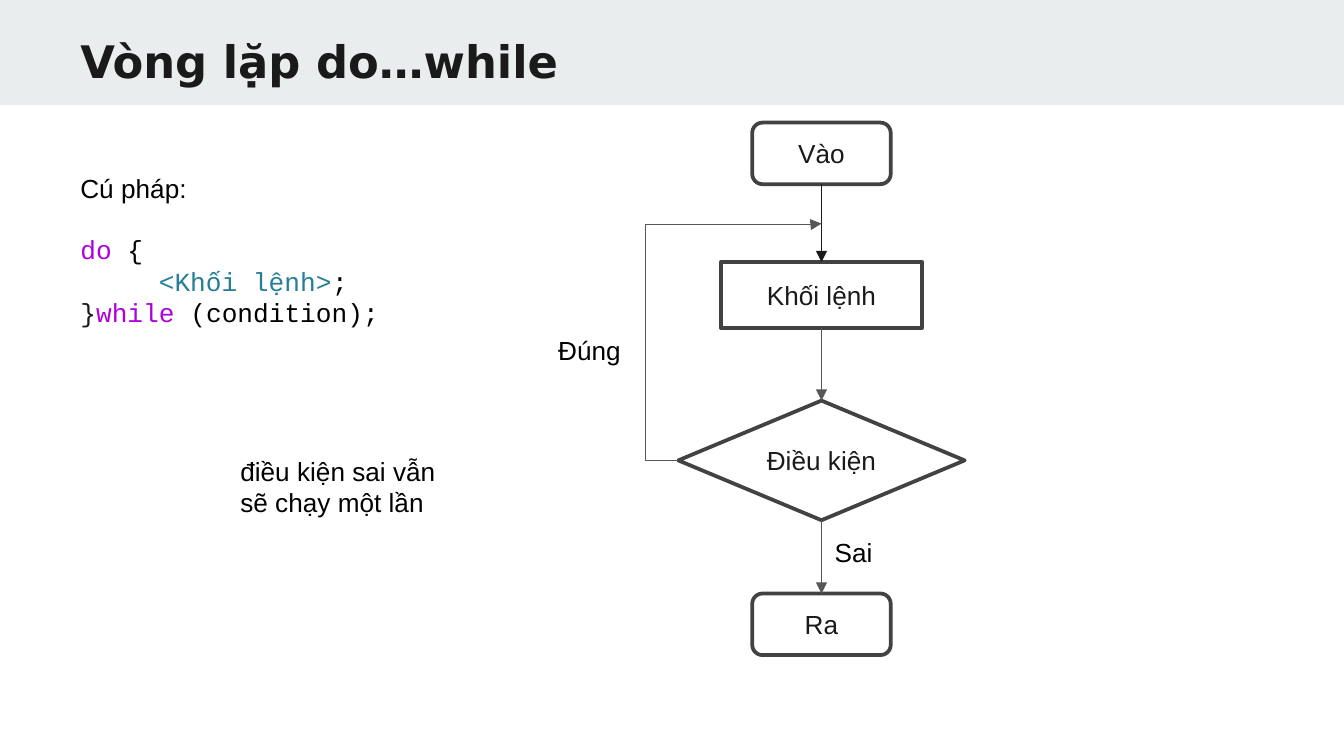
from pptx import Presentation
from pptx.dml.color import RGBColor
from pptx.enum.shapes import MSO_CONNECTOR, MSO_SHAPE
from pptx.enum.text import MSO_ANCHOR, PP_ALIGN
from pptx.oxml.ns import qn
from pptx.util import Pt
from lxml.etree import SubElement

INK, BLACK, GREY, EDGE = "1A1A1A", "000000", "575757", "424242"
VIOLET, TEAL = "AF00DB", "267F99"
BODY = {"name": "Arial", "size": Pt(14)}
CODE = {"name": "Courier New", "size": Pt(14)}
HEAD = {"name": "DejaVu Sans", "size": Pt(24), "bold": True}

# Text boxes: left, top, width, height, font, lines of (text, colour) runs
TEXTS = [
    (36, 10.8, 621.4, 45, HEAD, [[("Vòng lặp do…while", INK)]]),
    (36, 88.6, 148.3, 24.5, BODY, [[("Cú pháp:", BLACK)]]),
    (36, 121.7, 360, 75, CODE, [
        [("do", VIOLET), (" {", BLACK)],
        [("     <Khối lệnh>", TEAL), (";", BLACK)],
        [("}", INK), ("while", VIOLET), (" (condition);", BLACK)],
    ]),
    (121.7, 240.5, 136.8, 41, BODY,
     [[("điều kiện sai vẫn sẽ chạy một lần", BLACK)]]),
    (292, 175.7, 54.7, 24.5, BODY, [[("Đúng", BLACK)]]),
    (440.1, 283.7, 54.7, 24.5, BODY, [[("Sai", BLACK)]]),
]

# Flowchart steps on one centre line: text, outline, top, width, height
MID = 440.1
STEPS = [
    ("Vào", MSO_SHAPE.ROUNDED_RECTANGLE, 65.7, 74.2, 33),
    ("Khối lệnh", MSO_SHAPE.RECTANGLE, 140.4, 108, 35.2),
    ("Điều kiện", MSO_SHAPE.DIAMOND, 214.6, 153.4, 64.1),
    ("Ra", MSO_SHAPE.ROUNDED_RECTANGLE, 318, 74.2, 33),
]
ARROWS = [INK, GREY, GREY]
LOOP_X, LOOP_Y = 345.8, 119.8


def paint(hue):
    return RGBColor.from_string(hue)


def write(frame, font, lines):
    frame.word_wrap = True
    for i, runs in enumerate(lines):
        para = frame.paragraphs[0] if i == 0 else frame.add_paragraph()
        for text, hue in runs:
            run = para.add_run()
            run.text = text
            run.font.color.rgb = paint(hue)
            for key, value in font.items():
                setattr(run.font, key, value)


def arrow(kind, start, end, hue):
    link = slide.shapes.add_connector(kind, *map(Pt, start + end))
    link.line.width = Pt(0.75)
    link.line.color.rgb = paint(hue)
    SubElement(link.line._ln, qn("a:tailEnd"), type="triangle")
    SubElement(link._element.spPr, qn("a:effectLst"))
    return link


deck = Presentation()
deck.slide_width, deck.slide_height = Pt(720), Pt(405)
slide = deck.slides.add_slide(deck.slide_layouts[6])

band = slide.shapes.add_shape(MSO_SHAPE.RECTANGLE, 0, 0, Pt(720), Pt(56.2))
band.shadow.inherit = False
band.fill.solid()
band.fill.fore_color.rgb = paint("E9EDEE")
band.line.fill.background()

for *place, font, lines in TEXTS:
    frame = slide.shapes.add_textbox(*map(Pt, place)).text_frame
    write(frame, font, lines)
    if font is HEAD:
        frame.margin_top = Pt(7.2)

boxes = []
for text, form, top, width, height in STEPS:
    box = slide.shapes.add_shape(
        form, *map(Pt, (MID - width / 2, top, width, height)))
    box.shadow.inherit = False
    box.fill.background()
    box.line.width = Pt(2)
    box.line.color.rgb = paint(EDGE)
    write(box.text_frame, BODY, [[(text, INK)]])
    box.text_frame.vertical_anchor = MSO_ANCHOR.MIDDLE
    box.text_frame.paragraphs[0].alignment = PP_ALIGN.CENTER
    boxes.append(box)

for hue, upper, lower in zip(ARROWS, STEPS, STEPS[1:]):
    arrow(MSO_CONNECTOR.STRAIGHT, (MID, upper[2] + upper[4]),
          (MID, lower[2]), hue)

# The loop leaves the diamond's left tip, runs up and rejoins the flow
_, _, top, width, height = STEPS[2]
tip = MID - width / 2
loop = arrow(MSO_CONNECTOR.ELBOW, (tip, top + height / 2), (MID, LOOP_Y), GREY)
bend = loop._element.spPr.find(qn("a:prstGeom"))
bend.set("prst", "bentConnector4")
guides = bend.find(qn("a:avLst"))
turn = round((LOOP_X - tip) / (MID - tip) * 100000)
for name, value in (("adj1", turn), ("adj2", 99600)):
    SubElement(guides, qn("a:gd"), name=name, fmla=f"val {value}")

deck.save("out.pptx")
